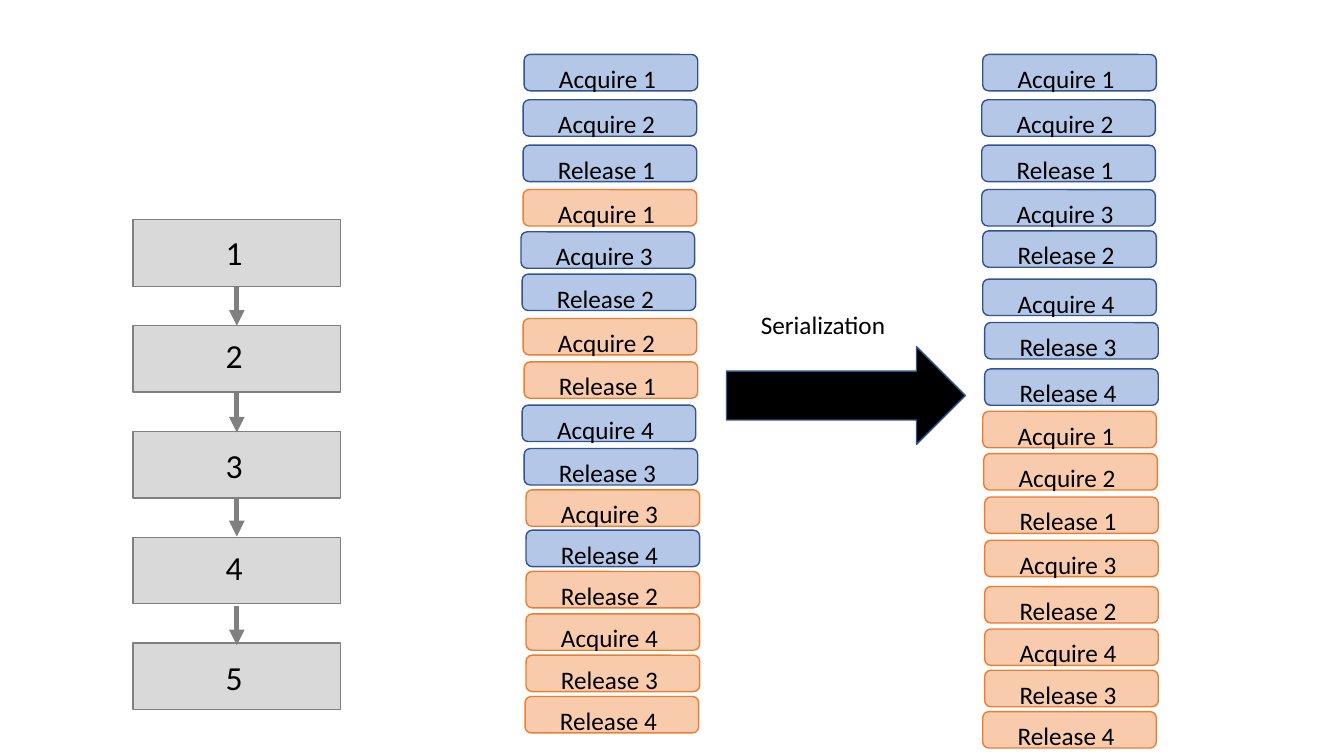
from pptx import Presentation
from pptx.dml.color import RGBColor
from pptx.enum.shapes import MSO_CONNECTOR, MSO_SHAPE as Shape
from pptx.enum.text import MSO_AUTO_SIZE, PP_ALIGN as Align
from pptx.oxml.ns import qn
from pptx.util import Pt
from lxml.etree import SubElement

# Content: list nodes as (number, number top)
NODES = [("1", 162), ("2", 235.4), ("3", 313.9), ("4", 387.4), ("5", 465.8)]
LINK_TOPS = [204.5, 280.8, 355, 432.7]

# Lock events of two threads: (text, thread, left, top)
INTERLEAVED = [
    ("Acquire 1", "blue", 374.4, 38.9),
    ("Acquire 2", "blue", 373.7, 71.3),
    ("Release 1", "blue", 373.7, 103.7),
    ("Acquire 1", "orange", 373.7, 135.4),
    ("Acquire 3", "blue", 372.2, 165.6),
    ("Release 2", "blue", 373, 195.8),
    ("Acquire 2", "orange", 373.7, 227.5),
    ("Release 1", "orange", 374.4, 258.5),
    ("Acquire 4", "blue", 373, 289.4),
    ("Release 3", "blue", 374.4, 320.4),
    ("Acquire 3", "orange", 375.8, 349.9),
    ("Release 4", "blue", 375.8, 378.7),
    ("Release 2", "orange", 375.8, 408.2),
    ("Acquire 4", "orange", 375.8, 438.5),
    ("Release 3", "orange", 375.8, 468),
    ("Release 4", "orange", 375.1, 497.5),
]
SERIALIZED = [
    ("Acquire 1", "blue", 702, 38.9),
    ("Acquire 2", "blue", 701.3, 71.3),
    ("Release 1", "blue", 701.3, 103.7),
    ("Acquire 3", "blue", 701.3, 135.4),
    ("Release 2", "blue", 702, 164.9),
    ("Acquire 4", "blue", 702, 199.4),
    ("Release 3", "blue", 703.4, 230.4),
    ("Release 4", "blue", 703.4, 263.5),
    ("Acquire 1", "orange", 702, 293.8),
    ("Acquire 2", "orange", 702.7, 324),
    ("Release 1", "orange", 703.4, 355),
    ("Acquire 3", "orange", 703.4, 385.9),
    ("Release 2", "orange", 703.4, 419),
    ("Acquire 4", "orange", 703.4, 449.3),
    ("Release 3", "orange", 703.4, 478.8),
    ("Release 4", "orange", 702, 508.3),
]

COLORS = {
    "black": "000000",
    "node": "D9D9D9", "node line": "808080",
    "blue": "B4C7E7", "blue line": "325491",
    "orange": "F8CBAD", "orange line": "ED7D31",
}
NODE_LEFT, NODE_TOP, NODE_STEP = 95, 157, 75.6
NODE_WIDTH, NODE_HEIGHT = 148.3, 47.5
LINK_LENGTH = 28.2
EVENT_WIDTH, EVENT_HEIGHT = 124, 26
LABEL_WIDTH, LABEL_HEIGHT = 136, 21
LABEL_DX, LABEL_DY = -8.5, 2.7


def color(name):
    return RGBColor.from_string(COLORS[name])


def add_box(shapes, kind, left, top, width, height, fill, line):
    box = shapes.add_shape(kind, Pt(left), Pt(top), Pt(width), Pt(height))
    box.shadow.inherit = False
    box.fill.solid()
    box.fill.fore_color.rgb = color(fill)
    box.line.color.rgb = color(line)
    box.line.width = Pt(1)


def add_label(shapes, text, left, top, width, height, size, align=Align.LEFT):
    label = shapes.add_textbox(Pt(left), Pt(top), Pt(width), Pt(height))
    frame = label.text_frame
    frame.word_wrap = True
    frame.auto_size = MSO_AUTO_SIZE.SHAPE_TO_FIT_TEXT
    paragraph = frame.paragraphs[0]
    paragraph.text = text
    paragraph.alignment = align
    paragraph.font.name = "Calibri"
    paragraph.font.size = Pt(size)
    paragraph.font.color.rgb = color("black")


def add_link(shapes, x, top):
    link = shapes.add_connector(MSO_CONNECTOR.STRAIGHT, Pt(x), Pt(top),
                                Pt(x), Pt(top + LINK_LENGTH))
    link.line.color.rgb = color("node line")
    link.line.width = Pt(3.75)
    SubElement(link.line._get_or_add_ln(), qn("a:tailEnd"), type="triangle")
    SubElement(link._element.spPr, qn("a:effectLst"))


def add_schedule(shapes, events):
    schedule = shapes.add_group_shape().shapes
    for text, thread, left, top in events:
        add_box(schedule, Shape.ROUNDED_RECTANGLE, left, top,
                EVENT_WIDTH, EVENT_HEIGHT, thread, f"{thread} line")
        add_label(schedule, text, left + LABEL_DX, top + LABEL_DY,
                  LABEL_WIDTH, LABEL_HEIGHT, 18, Align.CENTER)


def main():
    deck = Presentation()
    deck.slide_width, deck.slide_height = Pt(960), Pt(540)
    shapes = deck.slides.add_slide(deck.slide_layouts[6]).shapes

    # Linked list
    for i in range(len(NODES)):
        add_box(shapes, Shape.RECTANGLE, NODE_LEFT, NODE_TOP + i * NODE_STEP,
                NODE_WIDTH, NODE_HEIGHT, "node", "node line")
    for top in LINK_TOPS:
        add_link(shapes, NODE_LEFT + NODE_WIDTH / 2, top)
    for number, top in NODES:
        add_label(shapes, number, 154.1, top, 34.6, 36, 24)

    # Schedules before and after serialization
    add_schedule(shapes, SERIALIZED)
    add_schedule(shapes, INTERLEAVED)

    # Serialization arrow
    add_box(shapes, Shape.RIGHT_ARROW, 519, 247.7, 170.6, 69.8,
            "black", "blue line")
    add_label(shapes, "Serialization", 536.4, 217.4, 135.4, 28.8, 18)

    deck.save("out.pptx")


if __name__ == "__main__":
    main()
